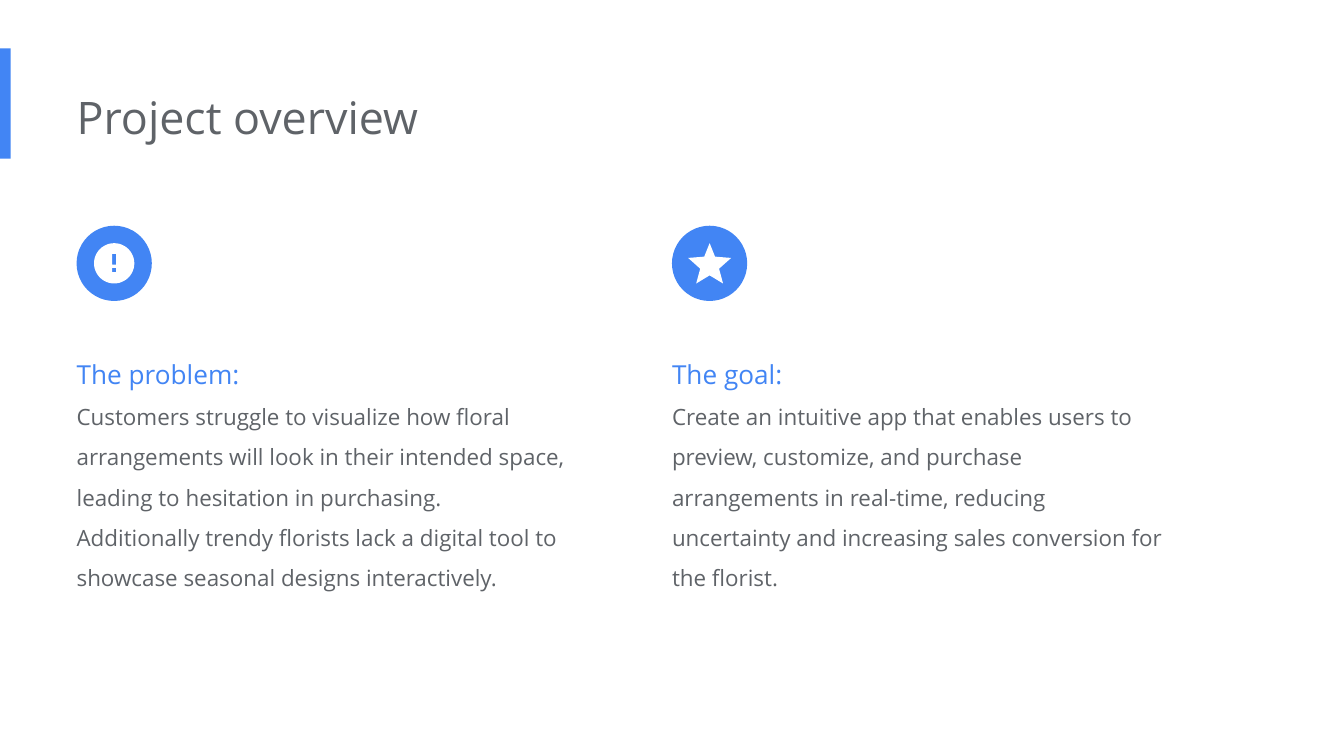
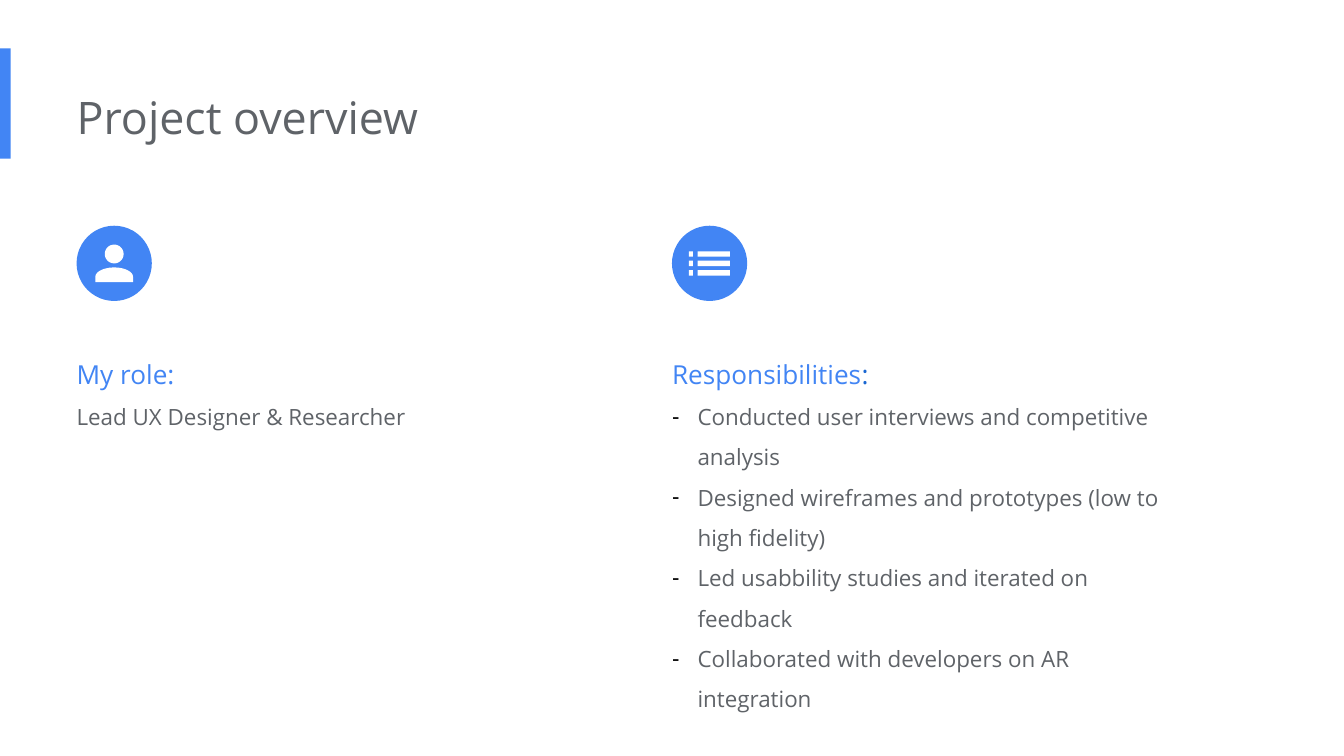
from math import cos, pi, sin

from lxml.etree import SubElement
from pptx import Presentation
from pptx.dml.color import RGBColor
from pptx.enum.shapes import MSO_SHAPE as Preset
from pptx.enum.text import MSO_ANCHOR as Anchor, MSO_AUTO_SIZE as AutoSize, PP_ALIGN as Align
from pptx.oxml.ns import qn
from pptx.util import Inches, Pt

BLUE = RGBColor(0x42, 0x85, 0xF4)
DARK_BLUE = RGBColor(0x19, 0x67, 0xD2)
GREY = RGBColor(0x5F, 0x63, 0x68)
WHITE = RGBColor(0xFF, 0xFF, 0xFF)
BLACK = RGBColor(0x00, 0x00, 0x00)

FONT = "Open Sans"
SLIDE_WIDTH = Inches(10)
SLIDE_HEIGHT = SLIDE_WIDTH * 9 // 16
COLUMNS = (0.57, 5)
COLUMN_TOP, COLUMN_WIDTH = 2.45, 3.77
BADGE_TOP, BADGE_SIZE = 1.68, 0.56
BULLET_INDENT = 0.19

FRAME_FORMAT = {
    "margin_left": 0,
    "margin_top": Inches(0.1),
    "margin_right": Inches(0.1),
    "margin_bottom": Inches(0.1),
    "word_wrap": True,
    "vertical_anchor": Anchor.TOP,
    "auto_size": AutoSize.SHAPE_TO_FIT_TEXT,
}
TITLE_PARAGRAPH = {"alignment": Align.LEFT, "space_before": Pt(0)}
BODY_PARAGRAPH = {**TITLE_PARAGRAPH, "line_spacing": 1.5}
TITLE_FONT = {"name": FONT, "size": Pt(24)}
HEADING_FONT = {"name": FONT, "size": Pt(14)}
BODY_FONT = {"name": FONT, "size": Pt(12)}


def apply(target, values):
    for attribute, value in values.items():
        setattr(target, attribute, value)


# Glyph outlines are in inches, measured from the centre of the badge.
def arc(cx, cy, rx, ry, sweep=2 * pi, steps=48):
    """Points of an elliptical arc that starts at the left and runs over the top."""
    angles = [pi + sweep * step / steps for step in range(steps + 1)]
    return [(cx + rx * cos(a), cy + ry * sin(a)) for a in angles]


def bar(cx, cy, width, height):
    dx, dy = width / 2, height / 2
    return [(cx - dx, cy - dy), (cx + dx, cy - dy), (cx + dx, cy + dy), (cx - dx, cy + dy)]


STAR_HALF = [(0, -0.15), (0.04, -0.05), (0.16, -0.04), (0.07, 0.04), (0.1, 0.15), (0, 0.09)]
WARNING = [arc(0, 0, 0.15, 0.15), bar(0, -0.03, 0.03, 0.08), bar(0, 0.05, 0.03, 0.03)]
STAR = [STAR_HALF + [(-x, y) for x, y in STAR_HALF[-2:0:-1]]]
PERSON = [
    arc(0, -0.07, 0.07, 0.07),
    arc(0, 0.1, 0.14, 0.07, sweep=pi) + [(0.14, 0.14), (-0.14, 0.14)],
]
LIST = [
    bar(cx, cy, width, 0.04)
    for cy in (-0.07, 0, 0.07)
    for cx, width in ((-0.14, 0.03), (0.03, 0.24))
]


class Deck:
    def __init__(self):
        self.prs = Presentation()
        self.prs.slide_width, self.prs.slide_height = SLIDE_WIDTH, SLIDE_HEIGHT
        self.slide = None

    def add_slide(self, title):
        self.slide = self.prs.slides.add_slide(self.prs.slide_layouts.get_by_name("Two Content"))
        self.shape(Preset.RECTANGLE, 0, 0.36, 0.08, 0.82)
        frame = self.place(self.slide.shapes.title, COLUMNS[0], 0.57, 6.73, 0.61)
        apply(frame.paragraphs[0], TITLE_PARAGRAPH)
        self.run(frame.paragraphs[0], title, TITLE_FONT, GREY)

    def paint(self, shape, color):
        shape.fill.solid()
        shape.fill.fore_color.rgb = color
        shape.line.fill.background()
        shape.shadow.inherit = False

    def shape(self, preset, left, top, width, height):
        box = map(Inches, (left, top, width, height))
        self.paint(self.slide.shapes.add_shape(preset, *box), BLUE)

    def place(self, holder, left, top, width, height):
        """Move a placeholder and return its formatted text frame."""
        apply(holder, {
            "left": Inches(left), "top": Inches(top),
            "width": Inches(width), "height": Inches(height),
        })
        apply(holder.text_frame, FRAME_FORMAT)
        return holder.text_frame

    def run(self, paragraph, text, font, color):
        run = paragraph.add_run()
        run.text = text
        apply(run.font, font)
        run.font.color.rgb = color

    def body_paragraph(self, paragraph, bulleted=False):
        apply(paragraph, BODY_PARAGRAPH)
        props = paragraph._p.get_or_add_pPr()
        indent = Inches(BULLET_INDENT) if bulleted else 0
        props.set("marL", str(indent))
        props.set("indent", str(-indent))
        if bulleted:
            bullet_color = SubElement(props, qn("a:buClr"))
            SubElement(bullet_color, qn("a:srgbClr")).set("val", str(BLACK))
            SubElement(props, qn("a:buChar")).set("char", "-")
        else:
            SubElement(props, qn("a:buNone"))

    def badge(self, left, glyph):
        self.shape(Preset.OVAL, left, BADGE_TOP, BADGE_SIZE, BADGE_SIZE)
        cx, cy = left + BADGE_SIZE / 2, BADGE_TOP + BADGE_SIZE / 2
        outlines = [[(Inches(cx + x), Inches(cy + y)) for x, y in part] for part in glyph]
        builder = self.slide.shapes.build_freeform(*outlines[0][0])
        for index, (start, *rest) in enumerate(outlines):
            if index:
                builder.move_to(*start)
            builder.add_line_segments(rest, close=True)
        self.paint(builder.convert_to_shape(), WHITE)

    def column(self, index, glyph, heading, lines, height, bulleted=False):
        """Fill one column; heading is a list of (text, colour) pieces."""
        left = COLUMNS[index]
        self.badge(left, glyph)
        holder = self.slide.placeholders[index + 1]
        frame = self.place(holder, left, COLUMN_TOP, COLUMN_WIDTH, height)
        first = frame.paragraphs[0]
        self.body_paragraph(first)
        for text, color in heading:
            self.run(first, text, HEADING_FONT, color)
        for line in lines:
            paragraph = frame.add_paragraph()
            self.body_paragraph(paragraph, bulleted)
            self.run(paragraph, line, BODY_FONT, GREY)


def main():
    deck = Deck()

    deck.add_slide("Project overview")
    deck.column(0, WARNING, [("The problem:", BLUE)], [
        "Customers struggle to visualize how floral arrangements will look in their "
        "intended space, leading to hesitation in purchasing. Additionally trendy florists "
        "lack a digital tool to showcase seasonal designs interactively.",
    ], height=2.07)
    deck.column(1, STAR, [("The goal:", BLUE)], [
        "Create an intuitive app that enables users to preview, customize, and purchase "
        "arrangements in real-time, reducing uncertainty and increasing sales conversion "
        "for the florist.",
    ], height=2.07)

    deck.add_slide("Project overview")
    deck.column(0, PERSON, [("My role:", BLUE)], ["Lead UX Designer & Researcher"], height=0.86)
    deck.column(1, LIST, [("Responsibilities", BLUE), (":", DARK_BLUE)], [
        "Conducted user interviews and competitive analysis",
        "Designed wireframes and prototypes (low to high fidelity)",
        "Led usabbility studies and iterated on feedback",
        "Collaborated with developers on AR integration",
    ], height=2.98, bulleted=True)

    deck.prs.save("out.pptx")


if __name__ == "__main__":
    main()
